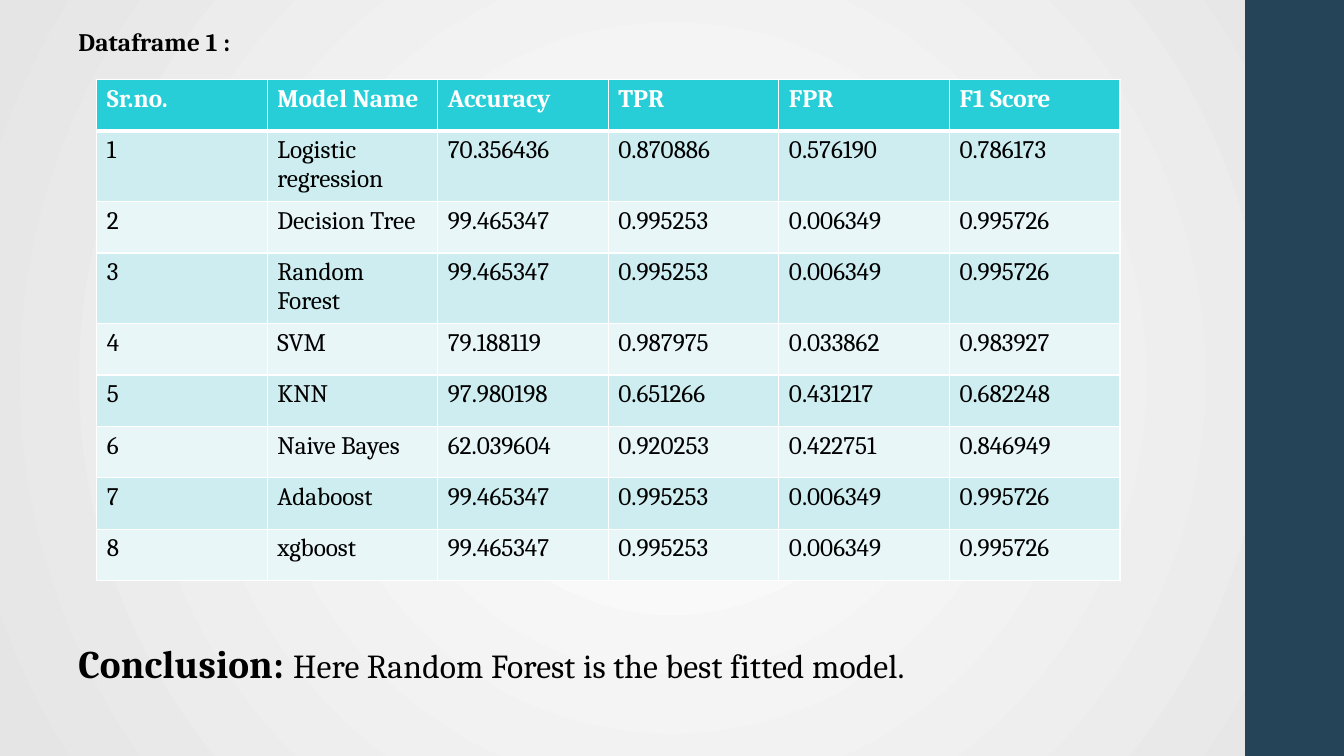
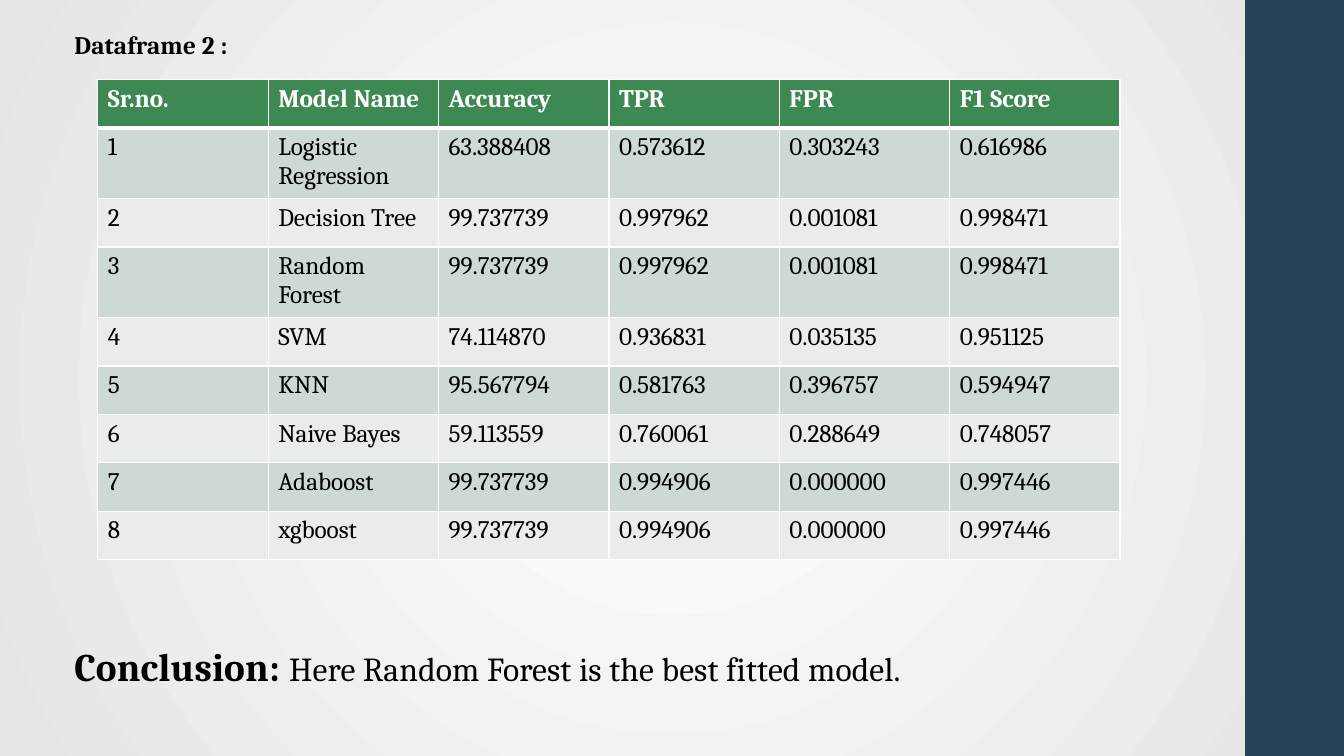
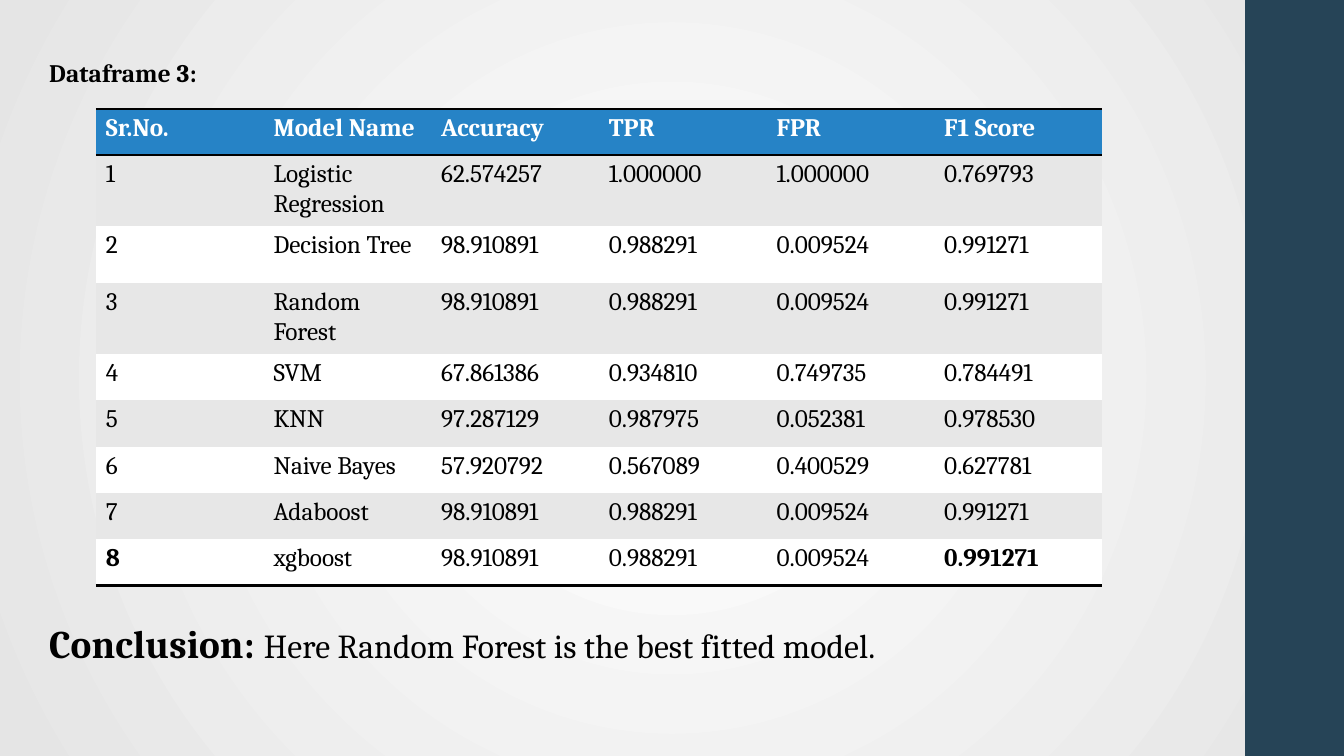
from dataclasses import dataclass

from lxml.etree import SubElement
from pptx import Presentation
from pptx.dml.color import RGBColor
from pptx.enum.shapes import MSO_SHAPE as Preset
from pptx.oxml import parse_xml
from pptx.oxml.ns import nsdecls, qn
from pptx.util import Inches, Pt

FONT = "Cambria"
BLACK = RGBColor(0x00, 0x00, 0x00)
WHITE = RGBColor(0xFF, 0xFF, 0xFF)
PALE_GREY = RGBColor(0xE5, 0xE5, 0xE5)
ROW_GREY = RGBColor(0xE7, 0xE7, 0xE7)
NAVY = RGBColor(0x26, 0x44, 0x57)
TURQUOISE = RGBColor(0x27, 0xCE, 0xD7)
TURQUOISE_MID = RGBColor(0xCD, 0xED, 0xF0)
TURQUOISE_PALE = RGBColor(0xE8, 0xF6, 0xF8)
GREEN = RGBColor(0x3E, 0x88, 0x53)
GREEN_MID = RGBColor(0xCE, 0xDA, 0xD1)
GREEN_PALE = RGBColor(0xE8, 0xED, 0xE9)
BLUE = RGBColor(0x26, 0x83, 0xC6)

NO_STYLE_NO_GRID = "{2D5ABB26-0587-4C30-8999-92F81FD0307C}"
MEASURES = ["Model Name", "Accuracy", "TPR", "FPR", "F1 Score"]
CONCLUSION = "Here Random Forest is the best fitted model."


@dataclass(frozen=True)
class TableLook:
    header: RGBColor
    odd_row: RGBColor
    even_row: RGBColor
    line: RGBColor = WHITE
    edge: float = 1
    header_rule: float = 3
    inner: float = 1

    def fill(self, row: int) -> RGBColor:
        if row == 0:
            return self.header
        return self.odd_row if row % 2 else self.even_row

    def borders(self, row: int, last: int) -> dict[str, float]:
        top = {0: self.edge, 1: self.header_rule}.get(row, self.inner)
        bottom = {0: self.header_rule, last: self.edge}.get(row, self.inner)
        return {"lnL": self.inner, "lnR": self.inner, "lnT": top, "lnB": bottom}


@dataclass(frozen=True)
class ResultSlide:
    heading: str
    text_left: float
    heading_top: float
    conclusion_top: float
    table_left: float
    table_top: float
    table_width: float
    row_heights: list[float]
    number_label: str
    look: TableLook
    results: list[tuple[str, str, str, str, str]]
    bold_cells: frozenset[tuple[int, int]] = frozenset()


RESULT_SLIDES = [
    ResultSlide(
        "Dataframe 1 :", 0.68, 0.23, 6.33, 0.96, 0.79, 10.15, [0.51] * 9, "Sr.no.",
        TableLook(TURQUOISE, TURQUOISE_MID, TURQUOISE_PALE),
        [
            ("Logistic regression", "70.356436", "0.870886", "0.576190", "0.786173"),
            ("Decision Tree", "99.465347", "0.995253", "0.006349", "0.995726"),
            ("Random Forest", "99.465347", "0.995253", "0.006349", "0.995726"),
            ("SVM", "79.188119", "0.987975", "0.033862", "0.983927"),
            ("KNN", "97.980198", "0.651266", "0.431217", "0.682248"),
            ("Naive Bayes", "62.039604", "0.920253", "0.422751", "0.846949"),
            ("Adaboost", "99.465347", "0.995253", "0.006349", "0.995726"),
            ("xgboost", "99.465347", "0.995253", "0.006349", "0.995726"),
        ],
    ),
    ResultSlide(
        "Dataframe 2 :", 0.64, 0.26, 6.36, 0.97, 0.79, 10.14, [0.48] * 9, "Sr.no.",
        TableLook(GREEN, GREEN_MID, GREEN_PALE),
        [
            ("Logistic Regression", "63.388408", "0.573612", "0.303243", "0.616986"),
            ("Decision Tree", "99.737739", "0.997962", "0.001081", "0.998471"),
            ("Random Forest", "99.737739", "0.997962", "0.001081", "0.998471"),
            ("SVM", "74.114870", "0.936831", "0.035135", "0.951125"),
            ("KNN", "95.567794", "0.581763", "0.396757", "0.594947"),
            ("Naive Bayes", "59.113559", "0.760061", "0.288649", "0.748057"),
            ("Adaboost", "99.737739", "0.994906", "0.000000", "0.997446"),
            ("xgboost", "99.737739", "0.994906", "0.000000", "0.997446"),
        ],
    ),
    ResultSlide(
        "Dataframe 3:", 0.39, 0.54, 6.13, 0.95, 1.08, 9.98,
        [0.46, 0.46, 0.57, 0.6] + [0.46] * 5, "Sr.No.",
        TableLook(BLUE, ROW_GREY, WHITE, BLACK, edge=2, header_rule=2, inner=0),
        [
            ("Logistic Regression", "62.574257", "1.000000", "1.000000", "0.769793"),
            ("Decision Tree", "98.910891", "0.988291", "0.009524", "0.991271"),
            ("Random Forest", "98.910891", "0.988291", "0.009524", "0.991271"),
            ("SVM", "67.861386", "0.934810", "0.749735", "0.784491"),
            ("KNN", "97.287129", "0.987975", "0.052381", "0.978530"),
            ("Naive Bayes", "57.920792", "0.567089", "0.400529", "0.627781"),
            ("Adaboost", "98.910891", "0.988291", "0.009524", "0.991271"),
            ("xgboost", "98.910891", "0.988291", "0.009524", "0.991271"),
        ],
        frozenset({(8, 0), (8, 5)}),
    ),
]


def add_span(para, text: str, size: float, bold: bool, color: RGBColor = BLACK):
    span = para.add_run()
    span.text = text
    span.font.name = FONT
    span.font.size = Pt(size)
    span.font.bold = bold
    span.font.color.rgb = color
    return span


def add_line(page, left: float, top: float, height: float,
             spans: list[tuple[str, float, bool]]) -> None:
    box = page.shapes.add_textbox(Inches(left), Inches(top), Inches(10.8), Inches(height))
    box.text_frame.word_wrap = True
    para = box.text_frame.paragraphs[0]
    para.line_spacing = 0.95
    for text, size, bold in spans:
        span = add_span(para, text, size, bold)
        span.font._element.set("spc", "10")


def set_borders(cell, widths: dict[str, float], color: RGBColor) -> None:
    properties = cell._tc.get_or_add_tcPr()
    for position, (side, width) in enumerate(widths.items()):
        if width:
            line = parse_xml(
                f'<a:{side} {nsdecls("a")} w="{Pt(width)}"><a:solidFill>'
                f'<a:srgbClr val="{color}"/></a:solidFill></a:{side}>'
            )
        else:
            line = parse_xml(f'<a:{side} {nsdecls("a")} w="0"><a:noFill/></a:{side}>')
        properties.insert(position, line)


def add_results(page, content: ResultSlide) -> None:
    rows = [(content.number_label, *MEASURES)]
    rows += [(str(number), *result) for number, result in enumerate(content.results, 1)]
    last = len(rows) - 1
    frame = page.shapes.add_table(
        len(rows), len(rows[0]), Inches(content.table_left), Inches(content.table_top),
        Inches(content.table_width), Inches(sum(content.row_heights)),
    )
    frame._element.xpath(".//a:tableStyleId")[0].text = NO_STYLE_NO_GRID
    table = frame.table
    table.horz_banding = False
    for column in table.columns:
        column.width = Inches(content.table_width / len(rows[0]))
    for row, values in enumerate(rows):
        table.rows[row].height = Inches(content.row_heights[row])
        for column, value in enumerate(values):
            cell = table.cell(row, column)
            cell.fill.solid()
            cell.fill.fore_color.rgb = content.look.fill(row)
            set_borders(cell, content.look.borders(row, last), content.look.line)
            bold = row == 0 or (row, column) in content.bold_cells
            add_span(cell.text_frame.paragraphs[0], value, 18, bold,
                     WHITE if row == 0 else BLACK)


def set_background(master) -> None:
    fill = master.background.fill
    fill.gradient()
    for stop, color in zip(fill.gradient_stops, (WHITE, PALE_GREY)):
        stop.color.rgb = color
    gradient = master.element.xpath("p:cSld/p:bg/p:bgPr/a:gradFill")[0]
    for linear in gradient.findall(qn("a:lin")):
        gradient.remove(linear)
    circle = SubElement(gradient, qn("a:path"), {"path": "circle"})
    SubElement(circle, qn("a:fillToRect"), dict.fromkeys("ltrb", "100000"))


def add_side_band(page, height: int) -> None:
    band = page.shapes.add_shape(Preset.RECTANGLE, Inches(12.35), 0, Inches(1), height)
    band.shadow.inherit = False
    band.fill.solid()
    band.fill.fore_color.rgb = NAVY
    band.line.fill.background()


def add_result_slide(deck, content: ResultSlide) -> None:
    page = deck.slides.add_slide(deck.slide_layouts[6])
    add_side_band(page, deck.slide_height)
    add_line(page, content.text_left, content.heading_top, 0.4,
             [(content.heading, 18, True)])
    add_results(page, content)
    add_line(page, content.text_left, content.conclusion_top, 0.55,
             [("Conclusion: ", 28, True), (CONCLUSION, 24, False)])


def main() -> None:
    deck = Presentation()
    deck.slide_width = Inches(13.33)
    deck.slide_height = Inches(7.5)
    set_background(deck.slide_master)
    for content in RESULT_SLIDES:
        add_result_slide(deck, content)
    deck.save("out.pptx")


if __name__ == "__main__":
    main()
